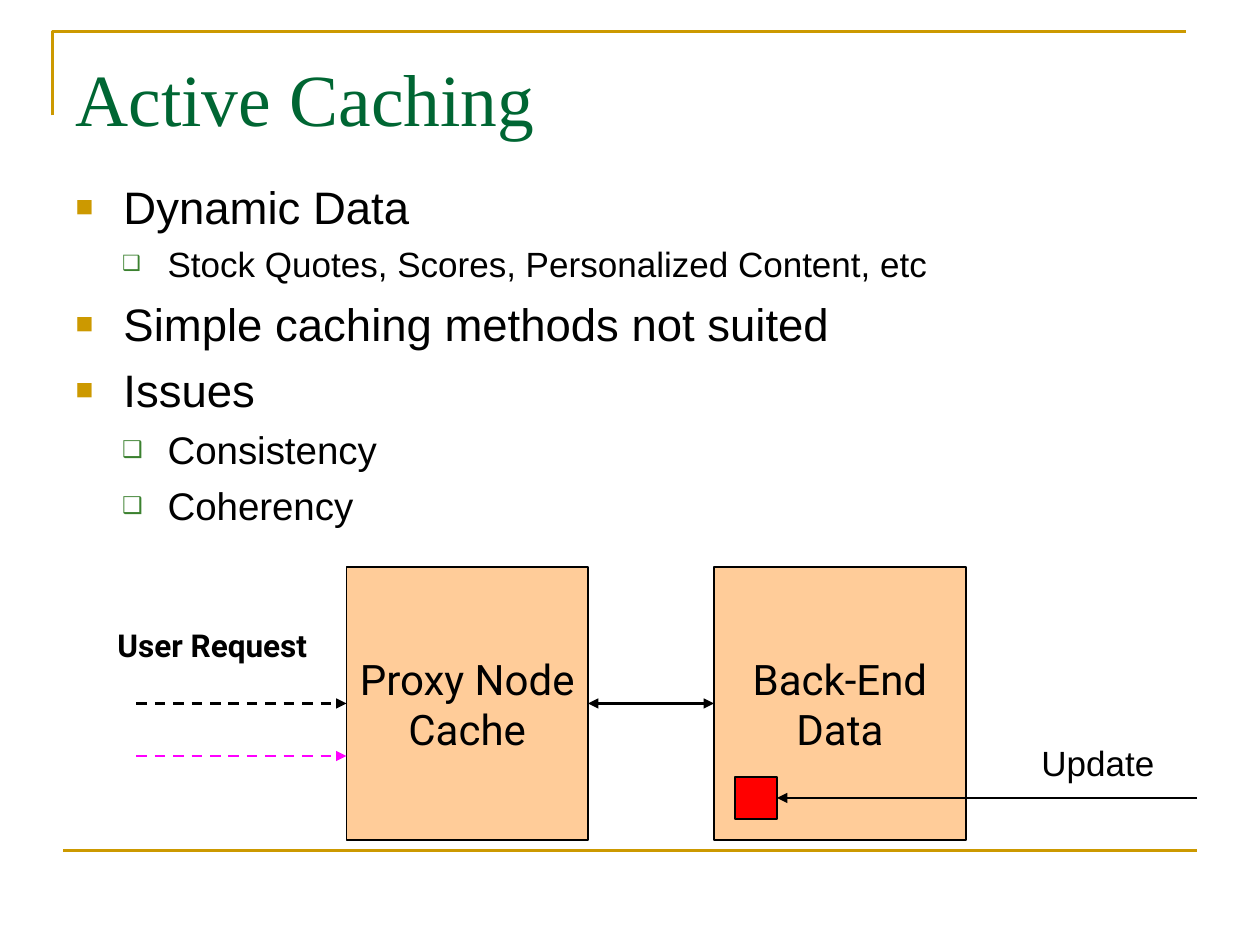
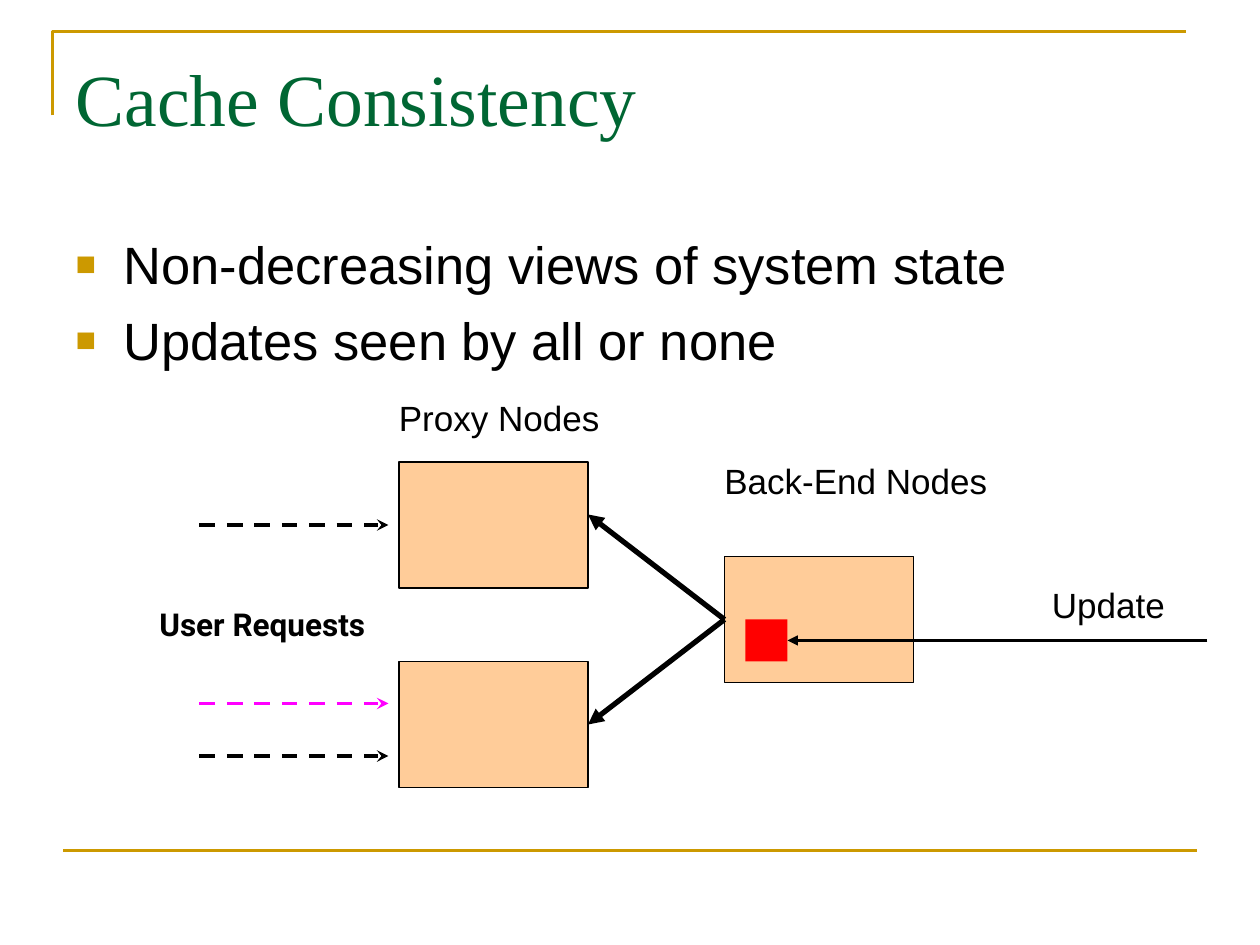
from dataclasses import dataclass
from lxml.etree import SubElement
from pptx import Presentation
from pptx.dml.color import RGBColor
from pptx.enum.dml import MSO_LINE
from pptx.enum.shapes import MSO_CONNECTOR, MSO_SHAPE
from pptx.enum.text import MSO_ANCHOR, MSO_AUTO_SIZE, PP_ALIGN
from pptx.oxml.ns import qn
from pptx.util import Inches, Pt

CELL = Inches(1) // 12  # the slide is 120 columns by 90 rows
TOP, LEFT, BOTTOM, RIGHT = range(4)


@dataclass(frozen=True)
class Theme:
    gold: str = "CC9900"
    green: str = "006633"
    leaf: str = "3B812F"
    peach: str = "FFCC99"
    red: str = "FF0000"
    pink: str = "FF00FF"
    ink: str = "000000"
    serif: str = "Times New Roman"
    sans: str = "Arial"
    round: str = "Roboto"
    head: int = 42
    node: int = 24
    label: int = 20
    note: int = 18


THEME = Theme()
# mark, colour, size in percent, left margin and hanging indent in inches
BULLETS = (("■", THEME.gold, 65, 0.38, 0.38), ("❑", THEME.leaf, 60, 0.73, 0.36))


def cells(*spans):
    return [round(span * CELL) for span in spans]


def rgb(tint):
    return RGBColor.from_string(tint)


def apply(item, **looks):
    for name, value in looks.items():
        setattr(item, name, value)


def style(font, face, size, tint=THEME.ink, bold=False):
    apply(font, name=face, size=Pt(size), bold=bold)
    font.color.rgb = rgb(tint)


def place(shape, left, top, width, height):
    left, top, width, height = cells(left, top, width, height)
    apply(shape, left=left, top=top, width=width, height=height)


def stroke(line, tint, width):
    line.color.rgb = rgb(tint)
    line.width = Pt(width)


def wire(slide, start, end, width=1.5, tint=THEME.ink, dash=False, head=None, tail=None):
    """Draw a straight line between two grid points, with optional arrowheads."""
    link = slide.shapes.add_connector(MSO_CONNECTOR.STRAIGHT, *cells(*start, *end))
    stroke(link.line, tint, width)
    if dash:
        link.line.dash_style = MSO_LINE.DASH
    props = link.element.spPr
    for tag, kind in (("a:headEnd", head), ("a:tailEnd", tail)):
        if kind:
            SubElement(props.find(qn("a:ln")), qn(tag), type=kind)
    SubElement(props, qn("a:effectLst"))
    return link


def box(slide, spot, fill=THEME.peach, text="", edge=True):
    shape = slide.shapes.add_shape(MSO_SHAPE.RECTANGLE, *cells(*spot))
    shape.shadow.inherit = False
    shape.fill.solid()
    shape.fill.fore_color.rgb = rgb(fill)
    if edge:
        stroke(shape.line, THEME.ink, 0.75)
    else:
        shape.line.fill.background()
    if text:
        frame = shape.text_frame
        apply(frame, text=text, word_wrap=False, vertical_anchor=MSO_ANCHOR.MIDDLE)
        for para in frame.paragraphs:
            para.alignment = PP_ALIGN.CENTER
            style(para.runs[0].font, THEME.round, THEME.node)
    return shape


def label(slide, text, spot, face=THEME.sans, size=THEME.label, bold=False):
    frame = slide.shapes.add_textbox(*cells(*spot)).text_frame
    apply(frame, text=text, word_wrap=False)
    style(frame.paragraphs[0].runs[0].font, face, size, bold=bold)


def note(slide, text, spot):
    label(slide, text, spot, THEME.round, THEME.note, True)


def bullet(para, level):
    mark, tint, size, margin, hang = BULLETS[level]
    props = para._p.get_or_add_pPr()
    props.set("marL", str(Inches(margin)))
    props.set("indent", str(-Inches(hang)))
    SubElement(SubElement(props, qn("a:buClr")), qn("a:srgbClr"), val=tint)
    SubElement(props, qn("a:buSzPct"), val=str(size * 1000))
    SubElement(props, qn("a:buFont"), typeface=THEME.sans)
    SubElement(props, qn("a:buChar"), char=mark)


def page(deck, title, items, spot):
    """Add a slide with its title and a list of (level, size, text) items."""
    slide = deck.slides.add_slide(deck.slide_layouts[1])
    head, body = slide.placeholders
    place(head, 6, 3.6, 108, 15)
    place(body, *spot)
    for holder, inset in ((head, 0.12), (body, 0.09)):
        apply(holder.text_frame, margin_top=Inches(inset), word_wrap=True,
              auto_size=MSO_AUTO_SIZE.NONE, vertical_anchor=MSO_ANCHOR.TOP)
    head.text_frame.text = title
    line = head.text_frame.paragraphs[0]
    line.alignment = PP_ALIGN.LEFT
    style(line.runs[0].font, THEME.serif, THEME.head, THEME.green)

    body.text_frame.text = "\n".join(text for _, _, text in items)
    for row, (para, (level, size, _)) in enumerate(zip(body.text_frame.paragraphs, items)):
        apply(para, level=level, space_before=Pt(size / 4 if row else 0))
        bullet(para, level)
        style(para.runs[0].font, THEME.sans, size)
    return slide


def trim(slide):
    """Draw the gold corner and foot rule, then move them to the shared layout."""
    pen = slide.shapes.build_freeform(5, 11, scale=CELL)
    pen.add_line_segments([(5, 3), (113, 3)], close=False)
    corner = pen.convert_to_shape()
    corner.shadow.inherit = False
    corner.fill.background()
    stroke(corner.line, THEME.gold, 1.5)
    foot = wire(slide, (6, 81), (114, 81), tint=THEME.gold)
    for part in (corner, foot):
        slide.slide_layout.shapes.element.append(part.element)


def update(slide, left, top, edge=True):
    """Draw the red record and the update arrow that reaches it."""
    record = box(slide, (left, top, 4, 4), THEME.red, edge=edge)
    arrow = wire(slide, (left + 44, top + 2), (left + 4, top + 2), tail="triangle")
    arrow.end_connect(record, RIGHT)
    label(slide, "Update", (left + 28, top - 4, 13.2, 5.2))


def active(deck):
    slide = page(deck, "Active Caching", [
        (0, 26, "Dynamic Data"),
        (1, 20, "Stock Quotes, Scores, Personalized Content, etc"),
        (0, 26, "Simple caching methods not suited"),
        (0, 26, "Issues"),
        (1, 22, "Consistency"),
        (1, 22, "Coherency"),
    ], (6, 16, 103.2, 35))
    trim(slide)
    proxy = box(slide, (33, 54, 23, 26), text="Proxy Node\nCache")
    store = box(slide, (68, 54, 24, 26), text="Back-End\nData")
    both = wire(slide, (56, 67), (68, 67), 1.75, head="triangle", tail="triangle")
    both.begin_connect(proxy, RIGHT)
    both.end_connect(store, LEFT)
    ask = wire(slide, (13, 67), (33, 67), dash=True, tail="triangle")
    ask.end_connect(proxy, LEFT)
    wire(slide, (13, 72), (33, 72), tint=THEME.pink, dash=True, tail="triangle")
    note(slide, "User Request", (10, 59, 22.5, 4.8))
    update(slide, 70, 74)


def views(deck):
    slide = page(deck, "Cache Consistency", [
        (0, 30, "Non-decreasing views of system state"),
        (0, 30, "Updates seen by all or none"),
    ], (6, 21, 108, 19.3))
    lower, _ = [box(slide, (38, top, 18, 12)) for top in (63, 44)]
    store = box(slide, (69, 53, 18, 12))
    down, up = [wire(slide, (69, 59), (56, row), 3, tail="triangle") for row in (69, 49)]
    for fan in (down, up):
        fan.begin_connect(store, LEFT)
    down.end_connect(lower, RIGHT)
    for row, tint in ((50, THEME.ink), (67, THEME.pink), (72, THEME.ink)):
        wire(slide, (19, row), (37, row), 2.25, tint, True, tail="stealth")
    note(slide, "User Requests", (14, 57, 24, 4.8))
    label(slide, "Proxy Nodes", (36.8, 37.2, 21.5, 5.2))
    label(slide, "Back-End Nodes", (67.8, 43.2, 27.5, 5.2))
    update(slide, 71, 59, edge=False)


def main():
    deck = Presentation()
    apply(deck, slide_width=120 * CELL, slide_height=90 * CELL)
    active(deck)
    views(deck)
    deck.save("out.pptx")


if __name__ == "__main__":
    main()
